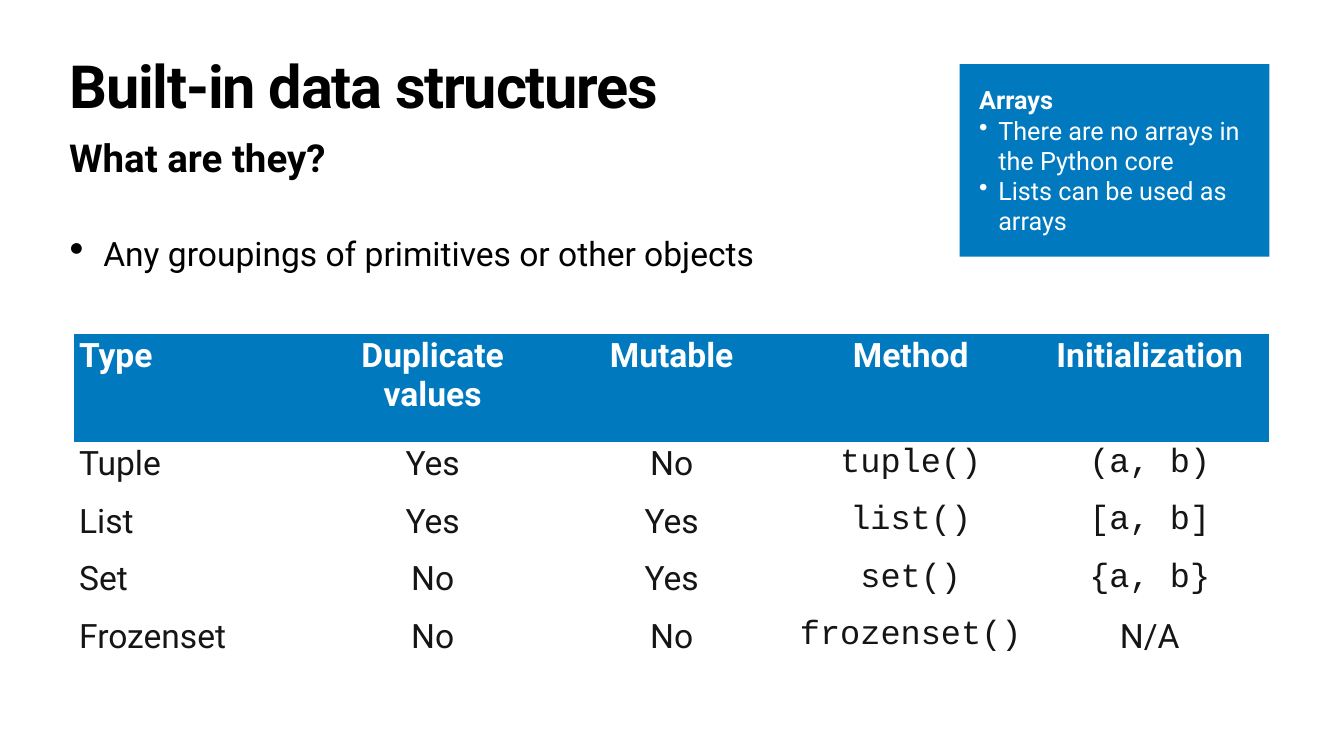
from dataclasses import dataclass
from typing import Any

from lxml.etree import SubElement
from pptx import Presentation
from pptx.dml.color import RGBColor
from pptx.enum.shapes import MSO_SHAPE
from pptx.enum.text import MSO_ANCHOR, MSO_AUTO_SIZE, PP_ALIGN
from pptx.oxml.ns import qn
from pptx.util import Inches, Pt

WIDE, HIGH = 26.67, 15
LEFT, SPAN = 1.32, 24.03
BLUE, WHITE, BLACK, INK = "0079BF", "FFFFFF", "000000", "151515"
SANS, MONO = "Roboto", "Courier New"
PLAIN = "{2D5ABB26-0587-4C30-8999-92F81FD0307C}"


@dataclass(frozen=True)
class Font:
    """The look of a run."""
    size: float
    color: str
    bold: bool = False
    face: str = SANS
    track: float = 0


@dataclass(frozen=True)
class Line:
    """One paragraph; a hanging indent above zero gives it a bullet."""
    text: str
    font: Font
    hang: float = 0
    dot: int = 100
    space: float = 1.0


@dataclass(frozen=True)
class Block:
    """A text box with one paragraph."""
    top: float
    height: float
    inset: float
    line: Line


BLOCKS = [
    Block(1.18, 1.57, 0.06, Line("Built-in data structures",
                                 Font(85, BLACK, True, track=-1.7), space=0.8)),
    Block(2.6, 1.02, 0.05, Line("What are they?", Font(55, BLACK, True))),
    Block(4.65, 9.03, 0.06, Line("Any groupings of primitives or other objects",
                                 Font(48, BLACK), 0.67, 123, 0.9)),
]
NOTE = [
    Line("Arrays", Font(36, WHITE, True)),
    Line("There are no arrays in the Python core", Font(36, WHITE), 0.38),
    Line("Lists can be used as arrays", Font(36, WHITE), 0.38),
]
ROWS = [
    ("Type", "Duplicate values", "Mutable", "Method", "Initialization"),
    ("Tuple", "Yes", "No", "tuple()", "(a, b)"),
    ("List", "Yes", "Yes", "list()", "[a, b]"),
    ("Set", "No", "Yes", "set()", "{a, b}"),
    ("Frozenset", "No", "No", "frozenset()", "N/A"),
]


def paint(color: str) -> RGBColor:
    """Turn a hex string into a colour."""
    return RGBColor.from_string(color)


def write(para: Any, line: Line) -> None:
    """Put a line into a paragraph."""
    run = para.add_run()
    run.text = line.text
    font = run.font
    font.name, font.size, font.bold = line.font.face, Pt(line.font.size), line.font.bold
    font.color.rgb = paint(line.font.color)
    if line.font.track:
        run._r.get_or_add_rPr().set("spc", str(round(line.font.track * 100)))
    para.line_spacing = line.space
    if line.hang:
        props = para._p.get_or_add_pPr()
        props.set("marL", str(Inches(line.hang)))
        props.set("indent", str(-Inches(line.hang)))
        SubElement(props, qn("a:buSzPct")).set("val", str(line.dot * 1000))
        SubElement(props, qn("a:buChar")).set("char", "•")


def fill_text(frame: Any, lines: list[Line], inset: float) -> None:
    """Fill a text frame with lines, the same inset on all sides."""
    frame.word_wrap = True
    frame.margin_left = frame.margin_right = Inches(inset)
    frame.margin_top = frame.margin_bottom = Inches(inset)
    for num, line in enumerate(lines):
        para = frame.add_paragraph() if num else frame.paragraphs[0]
        para.alignment = PP_ALIGN.LEFT
        write(para, line)


def add_block(slide: Any, block: Block) -> None:
    """Add a text box across the slide."""
    box = slide.shapes.add_textbox(Inches(LEFT), Inches(block.top),
                                   Inches(SPAN), Inches(block.height))
    fill_text(box.text_frame, [block.line], block.inset)
    box.text_frame.vertical_anchor = MSO_ANCHOR.TOP


def add_grid(slide: Any) -> None:
    """Add the table of types."""
    high = [2.15] + [1.14] * (len(ROWS) - 1)
    table = slide.shapes.add_table(len(ROWS), len(ROWS[0]), Inches(1.47), Inches(6.62),
                                   Inches(23.72), Inches(sum(high))).table
    table.first_row = table.horz_banding = False
    table._tbl.tblPr.find(qn("a:tableStyleId")).text = PLAIN
    for row, words in enumerate(ROWS):
        table.rows[row].height = Inches(high[row])
        for col, word in enumerate(words):
            cell = table.cell(row, col)
            head = row == 0
            code = not head and col >= 3 and word != "N/A"
            if head:
                cell.fill.solid()
                cell.fill.fore_color.rgb = paint(BLUE)
            else:
                cell.fill.background()
            para = cell.text_frame.paragraphs[0]
            para.alignment = PP_ALIGN.CENTER if col else PP_ALIGN.LEFT
            write(para, Line(word, Font(48, WHITE if head else INK, head,
                                        MONO if code else SANS)))


def add_note(slide: Any) -> None:
    """Add the blue note on arrays."""
    note = slide.shapes.add_shape(MSO_SHAPE.RECTANGLE, Inches(19.04), Inches(1.27),
                                  Inches(6.15), Inches(3.82))
    note.shadow.inherit = False
    note.fill.solid()
    note.fill.fore_color.rgb = paint(BLUE)
    note.line.fill.background()
    fill_text(note.text_frame, NOTE, 0.39)
    note.text_frame.vertical_anchor = MSO_ANCHOR.MIDDLE
    note.text_frame.auto_size = MSO_AUTO_SIZE.SHAPE_TO_FIT_TEXT


def main() -> None:
    """Build and save the slide."""
    deck = Presentation()
    deck.slide_width, deck.slide_height = Inches(WIDE), Inches(HIGH)
    slide = deck.slides.add_slide(deck.slide_layouts[6])
    for block in BLOCKS:
        add_block(slide, block)
    add_grid(slide)
    add_note(slide)
    deck.save("out.pptx")


main()
